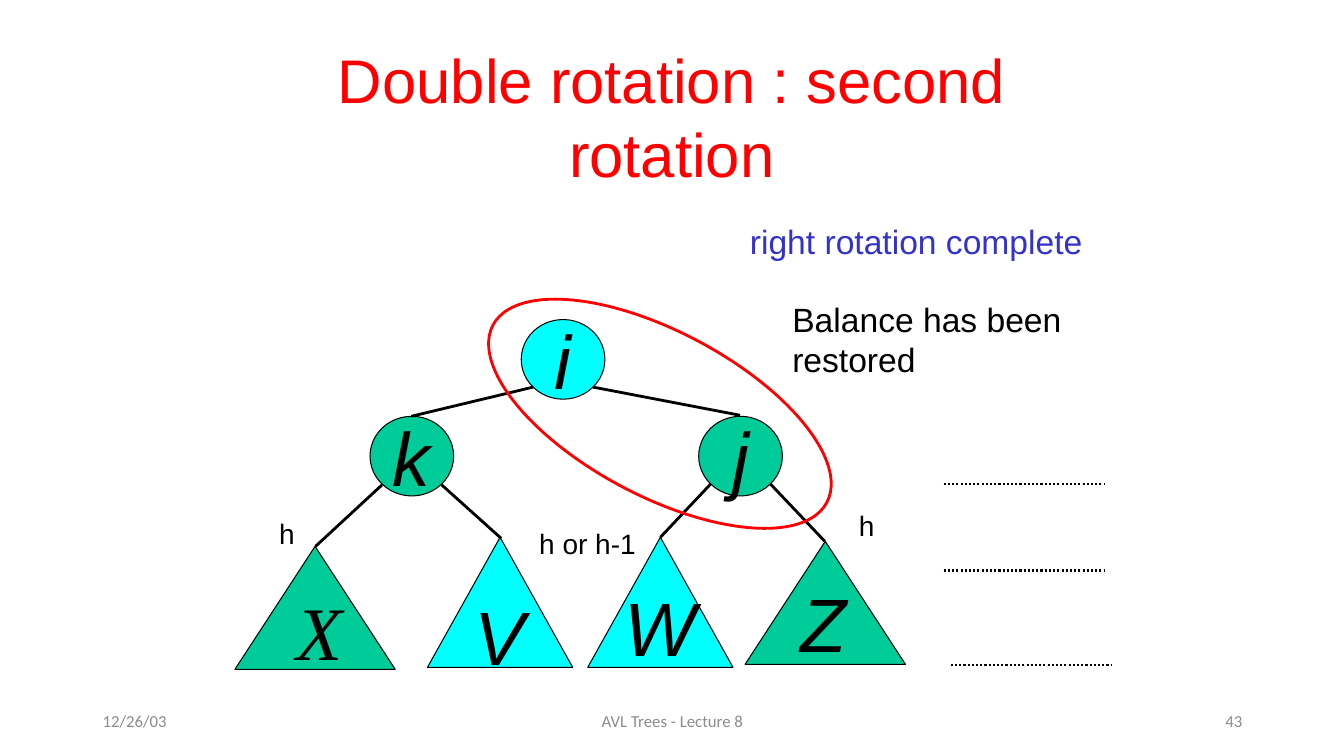
from dataclasses import dataclass

from lxml import etree
from pptx import Presentation
from pptx.dml.color import RGBColor
from pptx.enum import dml, shapes, text
from pptx.oxml import ns
from pptx.util import Inches, Pt


@dataclass(frozen=True)
class Theme:
    black: str = "000000"
    red: str = "FF0000"
    blue: str = "3333CC"
    green: str = "00CC99"
    cyan: str = "00FFFF"
    gray: str = "8C8C8C"
    font: str = "Arial"
    serif: str = "Times New Roman"
    footer_font: str = "Calibri"
    title: int = 44
    symbol: int = 54
    note: int = 24
    height: int = 20
    footer: int = 12
    outline: float = 0.75
    edge: float = 2
    dotted: float = 1.5


LEFT, CENTER, RIGHT = (text.PP_ALIGN.LEFT, text.PP_ALIGN.CENTER,
                       text.PP_ALIGN.RIGHT)
TOP, MIDDLE = text.MSO_ANCHOR.TOP, text.MSO_ANCHOR.MIDDLE
OVAL = shapes.MSO_SHAPE.OVAL
TRIANGLE = shapes.MSO_SHAPE.ISOSCELES_TRIANGLE


class TreeSlide:
    def __init__(self, prs, theme):
        self.theme = theme
        self.slide = prs.slides.add_slide(prs.slide_layouts[5])

    def set_text(self, sp, words, size, color, font=None, italic=False,
                 align=LEFT, anchor=TOP, wrap=True):
        tf = sp.text_frame
        tf.text = words
        tf.auto_size = text.MSO_AUTO_SIZE.NONE
        tf.word_wrap = wrap
        tf.vertical_anchor = anchor
        for p in tf.paragraphs:
            p.alignment = align
            for r in p.runs:
                r.font.size = Pt(size)
                r.font.name = font or self.theme.font
                r.font.italic = italic
                r.font.color.rgb = RGBColor.from_string(color)

    def title(self, words, box):
        sp = self.slide.shapes.title
        sp.left, sp.top, sp.width, sp.height = map(Inches, box)
        self.set_text(sp, words, self.theme.title, self.theme.red,
                      align=CENTER, anchor=MIDDLE)

    def label(self, words, box, size, color, **style):
        sp = self.slide.shapes.add_textbox(*map(Inches, box))
        self.set_text(sp, words, size, color, **style)

    def shape(self, kind, box, fill=None, line=None, width=None, symbol=""):
        t = self.theme
        sp = self.slide.shapes.add_shape(kind, *map(Inches, box))
        sp.shadow.inherit = False
        if fill:
            sp.fill.solid()
            sp.fill.fore_color.rgb = RGBColor.from_string(fill)
        else:
            sp.fill.background()
        sp.line.color.rgb = RGBColor.from_string(line or t.black)
        sp.line.width = Pt(width or t.outline)
        if symbol:
            self.set_text(sp, symbol, t.symbol, t.black, italic=True,
                          align=CENTER, anchor=MIDDLE, wrap=False)
        return sp

    def line(self, start, end, width, dash=None):
        cn = self.slide.shapes.add_connector(
            shapes.MSO_CONNECTOR.STRAIGHT, *map(Inches, start + end))
        cn.line.color.rgb = RGBColor.from_string(self.theme.black)
        cn.line.width = Pt(width)
        if dash:
            cn.line.dash_style = dash
        etree.SubElement(cn._element.spPr, ns.qn("a:effectLst"))


def main():
    prs = Presentation()
    prs.slide_width, prs.slide_height = Inches(13.33), Inches(7.5)
    t = Theme()
    s = TreeSlide(prs, t)

    # Title
    s.title("Double rotation : second rotation", (2.39, 0.71, 8.55, 0.88))

    # Footer
    for words, left, width, align in (
            ("12/26/03", 0.92, 3, LEFT),
            ("AVL Trees - Lecture 8", 4.42, 4.5, CENTER),
            ("43", 9.42, 3, RIGHT)):
        s.label(words, (left, 6.95, width, 0.4), t.footer, t.gray,
                font=t.footer_font, align=align, anchor=MIDDLE)

    # Tree nodes
    for name, left, top, fill in (("j", 6.93, 4.13, t.green),
                                  ("k", 3.67, 4.13, t.green),
                                  ("i", 5.17, 3.17, t.cyan)):
        s.shape(OVAL, (left, top, 0.83, 0.79), fill, symbol=name)

    # Subtrees
    outer, inner = (1.59, 1.22), (1.44, 1.29)
    for left, top, size, fill, name in ((2.33, 5.42, outer, t.green, ""),
                                        (4.24, 5.33, inner, t.cyan, "V"),
                                        (5.83, 5.33, inner, t.cyan, ""),
                                        (7.39, 5.37, outer, t.green, "")):
        s.shape(TRIANGLE, (left, top, *size), fill, symbol=name)
    for name, left, top, font in (("X", 2.84, 5.75, t.serif),
                                  ("W", 6.1, 5.71, t.font),
                                  ("Z", 7.84, 5.67, t.font)):
        s.label(name, (left, top, 0.51, 1), t.symbol, t.black,
                font=font, italic=True)

    # Edges from parent to child
    for start, end in (((5.29, 3.84), (4.08, 4.13)),
                       ((5.88, 3.84), (7.34, 4.12)),
                       ((3.79, 4.81), (3.13, 5.42)),
                       ((4.38, 4.81), (4.97, 5.34)),
                       ((7.05, 4.8), (6.55, 5.33)),
                       ((7.64, 4.8), (8.18, 5.37))):
        s.line(start, end, t.edge)

    # Level markers
    for left, y in ((9.36, 4.8), (9.36, 5.66), (9.43, 6.6)):
        s.line((left, y), (left + 1.6, y), t.dotted,
               dml.MSO_LINE.ROUND_DOT)

    # Rotated pair
    ring = s.shape(OVAL, (4.67, 3.29, 3.75, 1.63), line=t.red, width=t.edge)
    ring.rotation = 28

    # Notes
    s.label("right rotation complete", (7.34, 2.14, 3.53, 0.51),
            t.note, t.blue, wrap=False)
    s.label("Balance has been\nrestored", (7.76, 2.91, 2.99, 0.91),
            t.note, t.black, anchor=MIDDLE, wrap=False)

    # Subtree heights
    for words, left, top, width in (("h", 8.42, 5, 0.36),
                                    ("h", 2.67, 5.08, 0.35),
                                    ("h or h-1", 5.25, 5.17, 1.16)):
        s.label(words, (left, top, width, 0.44), t.height, t.black,
                wrap=False)

    prs.save("out.pptx")


if __name__ == "__main__":
    main()
